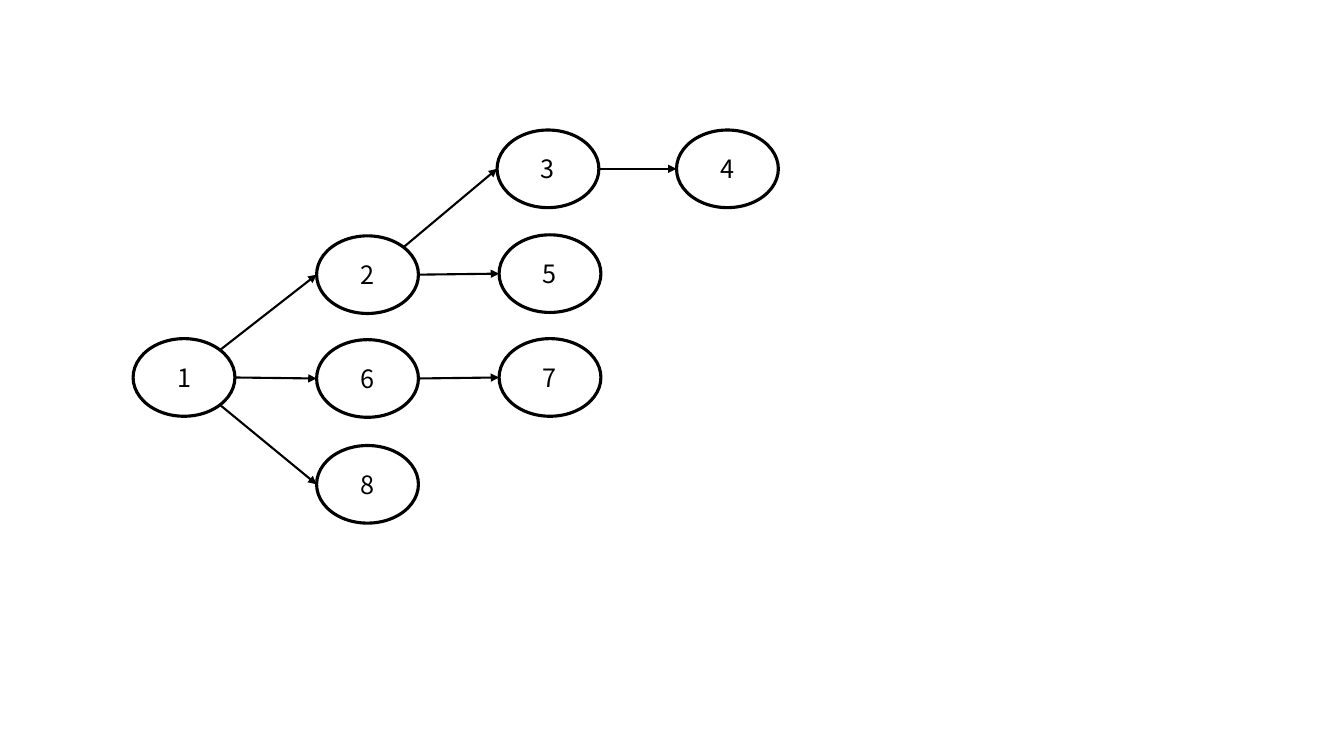
import math

from lxml import etree
from pptx import Presentation
from pptx import util as u
from pptx.dml.color import RGBColor
from pptx.enum import shapes, text
from pptx.oxml import ns

BLACK, WHITE = "000000", "FFFFFF"
FONT = "Noto Sans CJK SC"
NODE_WIDTH, NODE_HEIGHT = 1.01, 0.77
TREE_BOX = (1.32, 1.29)
NODES = {
    "1": (0, 2.07),
    "2": (1.82, 1.05),
    "3": (3.61, 0),
    "4": (5.39, 0),
    "5": (3.63, 1.04),
    "6": (1.82, 2.08),
    "7": (3.63, 2.07),
    "8": (1.82, 3.13),
}
RIGHT, UPPER_RIGHT, LOWER_RIGHT, LEFT = 0, -45, 45, 180
EDGES = [
    ("1", "2", UPPER_RIGHT),
    ("2", "3", UPPER_RIGHT),
    ("3", "4", RIGHT),
    ("2", "5", RIGHT),
    ("1", "6", RIGHT),
    ("6", "7", RIGHT),
    ("1", "8", LOWER_RIGHT),
]


def color(value):
    return RGBColor.from_string(value)


def add_child(parent, tag, **attributes):
    return etree.SubElement(parent, ns.qn(tag), attributes)


def write_text(shape, content, size=18, font=FONT, fill=BLACK, outline=0.75):
    frame = shape.text_frame
    frame.word_wrap = True
    frame.vertical_anchor = text.MSO_ANCHOR.MIDDLE
    paragraph = frame.paragraphs[0]
    paragraph.alignment = text.PP_ALIGN.CENTER
    run = paragraph.add_run()
    run.text = content
    run.font.size = u.Pt(size)
    run.font.name = font
    run.font.color.rgb = color(fill)
    properties = run.font._element
    add_child(properties, "a:ea", typeface=font)
    line = etree.Element(ns.qn("a:ln"), w=str(u.Pt(outline)))
    add_child(add_child(line, "a:solidFill"), "a:srgbClr", val=fill)
    properties.insert(0, line)


def add_node(slide, label, left, top):
    shape = slide.shapes.add_shape(
        shapes.MSO_SHAPE.OVAL,
        u.Inches(left), u.Inches(top), u.Inches(NODE_WIDTH), u.Inches(NODE_HEIGHT),
    )
    shape.shadow.inherit = False
    shape.fill.solid()
    shape.fill.fore_color.rgb = color(WHITE)
    shape.line.color.rgb = color(BLACK)
    shape.line.width = u.Pt(2.25)
    write_text(shape, label)
    return shape


def rim_point(node, degrees):
    angle = math.radians(degrees)
    x = node.left + node.width / 2 * (1 + math.cos(angle))
    y = node.top + node.height / 2 * (1 + math.sin(angle))
    return u.Emu(round(x)), u.Emu(round(y))


def add_arrow(slide, start, end, exit_angle):
    arrow = slide.shapes.add_connector(
        shapes.MSO_CONNECTOR.STRAIGHT, *rim_point(start, exit_angle), *rim_point(end, LEFT)
    )
    arrow.line.color.rgb = color(BLACK)
    arrow.line.width = u.Pt(1.5)
    add_child(arrow.line._get_or_add_ln(), "a:tailEnd", type="triangle")
    add_child(arrow._element.spPr, "a:effectLst")


def add_tree(slide, left, top):
    nodes = {
        label: add_node(slide, label, left + x, top + y)
        for label, (x, y) in NODES.items()
    }
    for start, end, exit_angle in EDGES:
        add_arrow(slide, nodes[start], nodes[end], exit_angle)


def main():
    presentation = Presentation()
    presentation.slide_width = u.Inches(13.33)
    presentation.slide_height = u.Inches(7.5)
    slide = presentation.slides.add_slide(presentation.slide_layouts[6])
    add_tree(slide, *TREE_BOX)
    presentation.save("out.pptx")


if __name__ == "__main__":
    main()
